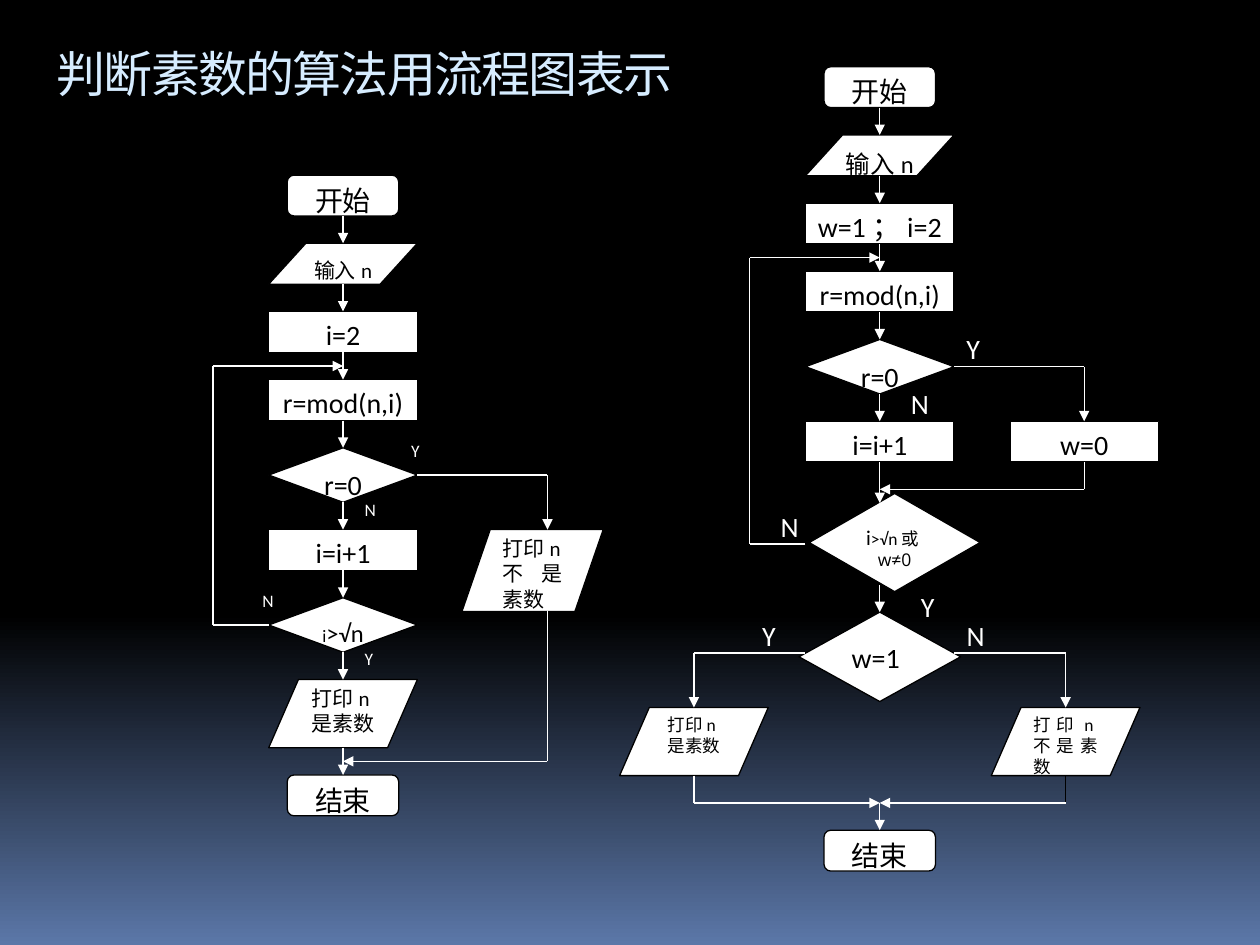
from copy import deepcopy
from dataclasses import dataclass
from typing import NamedTuple

from lxml import etree
from pptx import Presentation, util as u
from pptx.dml.color import RGBColor
from pptx.enum import shapes, text
from pptx.oxml.ns import qn

COLUMN, ROW = 0.1475, 0.1082
BLACK, WHITE = "000000", "FFFFFF"
CENTER, JUSTIFY = text.PP_ALIGN.CENTER, text.PP_ALIGN.JUSTIFY
KIND = shapes.MSO_SHAPE
TERMINAL = KIND.FLOWCHART_ALTERNATE_PROCESS
INPUT = KIND.PARALLELOGRAM
PROCESS = KIND.FLOWCHART_PROCESS
DECISION = KIND.FLOWCHART_DECISION
OUTPUT = KIND.FLOWCHART_DATA


class Piece(NamedTuple):
    wording: str
    size: float = 16
    font: str = "Calibri"


@dataclass(frozen=True)
class Step:
    kind: shapes.MSO_SHAPE
    column: float
    row: float
    columns: float
    rows: float
    pieces: tuple[Piece, ...]
    align: text.PP_ALIGN = CENTER


class Route(NamedTuple):
    points: tuple[tuple[float, float], ...]
    arrow: bool = True
    color: str = WHITE


class Branch(NamedTuple):
    answer: str
    column: float
    row: float
    columns: float = 3


@dataclass(frozen=True)
class Flowchart:
    left: float
    top: float
    branch_size: float
    steps: tuple[Step, ...]
    routes: tuple[Route, ...]
    branches: tuple[Branch, ...]

    def x(self, column: float) -> int:
        return u.Inches(self.left + column * COLUMN)

    def y(self, row: float) -> int:
        return u.Inches(self.top + row * ROW)


def rgb(color: str) -> RGBColor:
    return RGBColor.from_string(color)


def wide(kind, row: float, rows: float, *pieces: Piece, column: float = 3, align=CENTER) -> Step:
    return Step(kind, column, row, 8, rows, pieces, align)


def terminal(row: float, wording: str) -> Step:
    return Step(TERMINAL, 4, row, 6, 3, (Piece(wording),))


def drops(*spans: tuple[float, float]) -> tuple[Route, ...]:
    return tuple(Route(((7, start), (7, end))) for start, end in spans)


def write(frame, pieces: tuple[Piece, ...], align, color: str) -> None:
    frame.word_wrap = True
    frame.vertical_anchor = text.MSO_ANCHOR.TOP
    paragraph = frame.paragraphs[0]
    paragraph.alignment = align
    for piece in pieces:
        run = paragraph.add_run()
        run.text = piece.wording
        run.font.size = u.Pt(piece.size)
        run.font.name = piece.font
        run.font.color.rgb = rgb(color)


def draw_step(slide, chart: Flowchart, step: Step) -> None:
    shape = slide.shapes.add_shape(
        step.kind, chart.x(step.column), chart.y(step.row),
        u.Inches(step.columns * COLUMN), u.Inches(step.rows * ROW))
    if step.kind == INPUT:
        shape.adjustments[0] = 0.91
    shape.shadow.inherit = False
    shape.fill.solid()
    shape.fill.fore_color.rgb = rgb(WHITE)
    shape.line.color.rgb = rgb(BLACK)
    shape.line.width = u.Pt(0.75)
    write(shape.text_frame, step.pieces, step.align, BLACK)


def draw_route(slide, chart: Flowchart, route: Route) -> None:
    for start, end in zip(route.points, route.points[1:]):
        line = slide.shapes.add_connector(
            shapes.MSO_CONNECTOR.STRAIGHT, chart.x(start[0]), chart.y(start[1]),
            chart.x(end[0]), chart.y(end[1]))
        line.line.color.rgb = rgb(route.color)
        line.line.width = u.Pt(0.75)
        properties = line.element.spPr
        if route.arrow and end == route.points[-1]:
            etree.SubElement(properties.find(qn("a:ln")), qn("a:tailEnd"), type="triangle")
        etree.SubElement(properties, qn("a:effectLst"))


def draw_branch(slide, chart: Flowchart, branch: Branch) -> None:
    box = slide.shapes.add_textbox(
        chart.x(branch.column), chart.y(branch.row),
        u.Inches(branch.columns * COLUMN), u.Inches(3 * ROW))
    write(box.text_frame, (Piece(branch.answer, chart.branch_size),), JUSTIFY, WHITE)


def draw_flowchart(slide, chart: Flowchart) -> None:
    for step in chart.steps:
        draw_step(slide, chart, step)
    for route in chart.routes:
        draw_route(slide, chart, route)
    for branch in chart.branches:
        draw_branch(slide, chart, branch)


def paint_background(slide) -> None:
    fill = slide.background.fill
    fill.gradient()
    fill.gradient_angle = 270
    first = slide.element.find(".//" + qn("a:gs"))
    first.addnext(deepcopy(first))
    for stop, (position, color) in zip(fill.gradient_stops, ((0, BLACK), (0.65, BLACK), (1, "5B77A8"))):
        stop.position = position
        stop.color.rgb = rgb(color)


def set_title(slide, wording: str) -> None:
    title = slide.shapes.title
    title.left, title.top, title.width, title.height = map(u.Inches, (0.35, 0.28, 8.52, 0.6))
    frame = title.text_frame
    frame.text = wording
    frame.vertical_anchor = text.MSO_ANCHOR.MIDDLE
    frame.paragraphs[0].alignment = text.PP_ALIGN.LEFT
    run = frame.paragraphs[0].runs[0]
    run.font.size = u.Pt(28)
    run.font.name = "Noto Sans CJK SC"
    run.font.color.rgb = rgb("D6ECFF")
    properties = title.element.find(".//" + qn("a:rPr"))
    properties.set("spc", "-100")
    etree.SubElement(properties, qn("a:ea"), typeface="Noto Sans CJK SC")


PRIME, NOT_PRIME = "打印n是素数", "打印n不是素数"

EARLY_EXIT = Flowchart(
    1.69, 1.39, 10,
    (terminal(0, "开始"), wide(INPUT, 5, 3, Piece("输入n", 12)),
     wide(PROCESS, 10, 3, Piece("i=2")), wide(PROCESS, 15, 3, Piece("r=mod(n,i)")),
     wide(DECISION, 20, 4, Piece("r=0")), wide(PROCESS, 26, 3, Piece("i=i+1")),
     wide(DECISION, 31, 4, Piece("i", 10), Piece(">√n", 14)),
     wide(OUTPUT, 37, 5, Piece(PRIME, 12)), terminal(44, "结束"),
     Step(OUTPUT, 13.4, 26, 7.6, 6, (Piece(NOT_PRIME, 12),), JUSTIFY)),
    drops((3, 5), (8, 10), (13, 15), (18, 20), (24, 26), (29, 31), (35, 37), (42, 44))
    + (Route(((3, 33), (0, 33), (0, 14), (7, 14))),
       Route(((11, 22), (18, 22), (18, 26))), Route(((18, 32), (18, 43), (7, 43)))),
    (Branch("Y", 10, 19), Branch("N", 7.5, 23.3, 4), Branch("N", 2, 30), Branch("Y", 7.5, 34.2)))

FLAGGED = Flowchart(
    5.95, 0.53, 16,
    (terminal(0, "开始"), wide(INPUT, 5, 3, Piece("输入n", 14)),
     wide(PROCESS, 10, 3, Piece("w=1；i=2")), wide(PROCESS, 15, 3, Piece("r=mod(n,i)")),
     wide(DECISION, 20, 4, Piece("r=0")), wide(PROCESS, 26, 3, Piece("i=i+1")),
     wide(PROCESS, 26, 3, Piece("w=0"), column=14),
     Step(DECISION, 3.2, 31.3, 9.2, 7.2,
          (Piece("i", 12), Piece(">√n", 10), Piece("或w≠0", 10, "Open Sans"))),
     Step(DECISION, 2.65, 40, 8.7, 6.56, (Piece("w=1"),), JUSTIFY),
     wide(OUTPUT, 47, 5, Piece(PRIME, 10), column=-7),
     wide(OUTPUT, 47, 5, Piece(NOT_PRIME, 10), column=13, align=JUSTIFY), terminal(56, "结束")),
    drops((3, 5), (8, 10), (13, 15), (18, 20), (24, 26), (29, 32), (38, 40), (54, 56))
    + (Route(((3, 35), (0, 35), (0, 14), (7, 14))),
       Route(((11, 22), (18, 22), (18, 26))), Route(((18, 29), (18, 31), (7, 31))),
       Route(((3, 43), (-3, 43), (-3, 47))), Route(((11, 43), (17, 43), (17, 47))),
       Route(((-3, 52), (-3, 54), (7, 54))), Route(((17, 52), (17, 54)), False, BLACK),
       Route(((17, 54), (7, 54)))),
    (Branch("Y", 11, 19), Branch("N", 8, 23, 4), Branch("N", 1, 32), Branch("Y", 8.55, 37.9),
     Branch("Y", 0, 40), Branch("N", 11, 40, 4)))


def main() -> None:
    """Build the slide with two flowcharts that test for a prime number."""
    deck = Presentation()
    deck.slide_width, deck.slide_height = u.Inches(10), u.Inches(7.5)
    slide = deck.slides.add_slide(deck.slide_layouts[5])
    paint_background(slide)
    set_title(slide, "判断素数的算法用流程图表示")
    for chart in (EARLY_EXIT, FLAGGED):
        draw_flowchart(slide, chart)
    deck.save("out.pptx")


if __name__ == "__main__":
    main()
